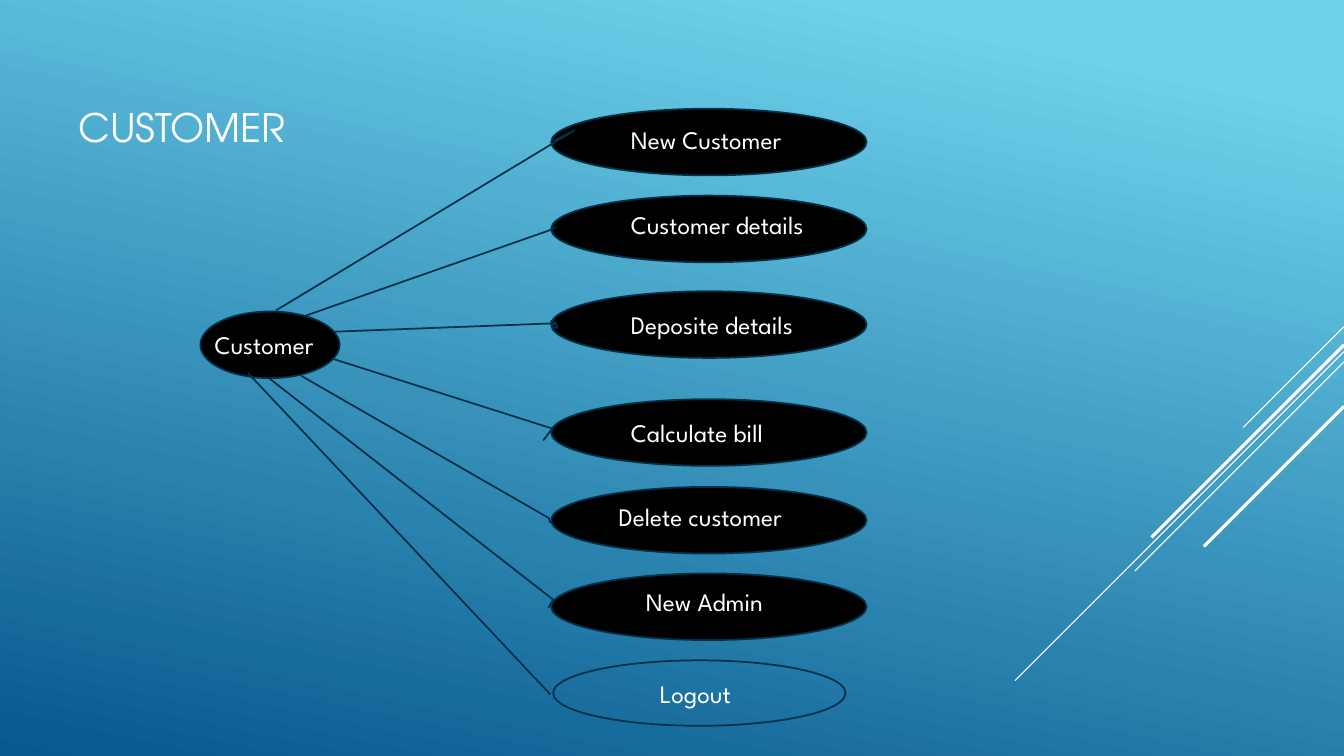
from lxml import etree
from pptx import Presentation
from pptx.dml.color import RGBColor
from pptx.enum import shapes, text
from pptx.oxml import ns
from pptx.util import Cm, Pt

COLORS = {"sky": "6ED2EB", "deep": "06588E", "white": "FFFFFF",
          "black": "000000", "outline": "043148"}
BODY_FONT = "League Spartan"
TITLE_FONT = "TeX Gyre Adventor"
SLIDE_WIDTH, SLIDE_HEIGHT = 33.87, 19.05
OVAL_LEFT, OVAL_WIDTH, OVAL_HEIGHT = 13.89, 7.95, 1.68

ACTIONS = [
    ("New Customer", 2.74, 15.65, 3.02, 5.33),
    ("Customer details", 4.93, 15.65, 5.16, 5.79),
    ("Deposite details", 7.34, 15.65, 7.67, 5.69),
    ("Calculate bill", 10.06, 15.65, 10.39, 4.95),
    ("Delete customer", 12.27, 15.34, 12.5, 5.84),
    ("New Admin", 14.45, 16.03, 14.66, 4.95),
]
LINKS = [
    [(6.96, 7.82), (13.94, 3.61), (14.48, 3.28), (14, 3.53), (13.97, 3.56)],
    [(7.72, 7.95), (13.89, 5.79), (14.02, 5.72)],
    [(8.41, 8.36), (13.92, 8.15), (14.02, 8.18), (13.97, 8.1),
     (14.05, 8.26), (13.94, 8.26), (13.89, 8.08), (13.92, 8.26)],
    [(8.38, 9.04), (13.92, 10.8), (13.69, 11.1)],
    [(7.59, 9.47), (13.84, 13.06), (13.87, 13.18)],
    [(6.78, 9.53), (13.94, 15.11), (13.82, 15.32)],
]
DIAGONALS = [(8.23, 2.54, 0.75), (8.86, 8.29, 0.75), (9.12, 5.27, 0.75),
             (8.69, 4.85, 2.25), (10.24, 3.53, 2.25)]


def color(name):
    return RGBColor.from_string(COLORS[name])


def set_line(line, name, width):
    line.color.rgb = color(name)
    line.width = Pt(width)


def set_background(slide):
    fill = slide.background.fill
    fill.gradient()
    fill.gradient_angle = 258
    for stop, name, position in zip(fill.gradient_stops, ("sky", "deep"), (0.1, 1)):
        stop.color.rgb = color(name)
        stop.position = position


def add_line(slide, start, end, name, width):
    connector = slide.shapes.add_connector(
        shapes.MSO_CONNECTOR.STRAIGHT, *(Cm(value) for value in (*start, *end)))
    set_line(connector.line, name, width)
    etree.SubElement(connector._element.spPr, ns.qn("a:effectLst"))


def add_oval(slide, left, top, width, height, filled=True):
    shape = slide.shapes.add_shape(
        shapes.MSO_SHAPE.OVAL, Cm(left), Cm(top), Cm(width), Cm(height))
    shape.shadow.inherit = False
    if filled:
        shape.fill.solid()
        shape.fill.fore_color.rgb = color("black")
    else:
        shape.fill.background()
    set_line(shape.line, "outline", 1.25)


def add_link(slide, points):
    start, *rest = [(Cm(x), Cm(y)) for x, y in points]
    builder = slide.shapes.build_freeform(*start)
    builder.add_line_segments(rest, close=False)
    shape = builder.convert_to_shape()
    shape.shadow.inherit = False
    shape.fill.background()
    set_line(shape.line, "outline", 1.25)


def add_label(slide, words, left, top, width, height=1.02, size=18, font=BODY_FONT):
    box = slide.shapes.add_textbox(Cm(left), Cm(top), Cm(width), Cm(height))
    frame = box.text_frame
    frame.word_wrap = True
    frame.auto_size = text.MSO_AUTO_SIZE.SHAPE_TO_FIT_TEXT
    paragraph = frame.paragraphs[0]
    paragraph.text = words
    paragraph.font.name = font
    paragraph.font.size = Pt(size)
    paragraph.font.color.rgb = color("white")


def main():
    presentation = Presentation()
    presentation.slide_width = Cm(SLIDE_WIDTH)
    presentation.slide_height = Cm(SLIDE_HEIGHT)
    slide = presentation.slides.add_slide(presentation.slide_layouts[6])
    set_background(slide)

    for top, reach, width in DIAGONALS:
        add_line(slide, (SLIDE_WIDTH, top), (SLIDE_WIDTH - reach, top + reach),
                 "white", width)

    add_label(slide, "CUSTOMER", 1.73, 2.49, 6.86, 1.45, 28, TITLE_FONT)
    add_oval(slide, 5.05, 7.85, 3.51, OVAL_HEIGHT)
    add_label(slide, "Customer", 5.16, 8.18, 3.51)

    for words, oval_top, left, top, width in ACTIONS:
        add_oval(slide, OVAL_LEFT, oval_top, OVAL_WIDTH, OVAL_HEIGHT)
        add_label(slide, words, left, top, width)
    add_oval(slide, 13.94, 16.64, 7.37, 1.65, filled=False)
    add_label(slide, "Logout", 16.38, 16.97, 4.95)

    for points in LINKS:
        add_link(slide, points)
    add_line(slide, (6.25, 9.4), (13.87, 17.5), "outline", 1.25)

    presentation.save("out.pptx")


if __name__ == "__main__":
    main()
